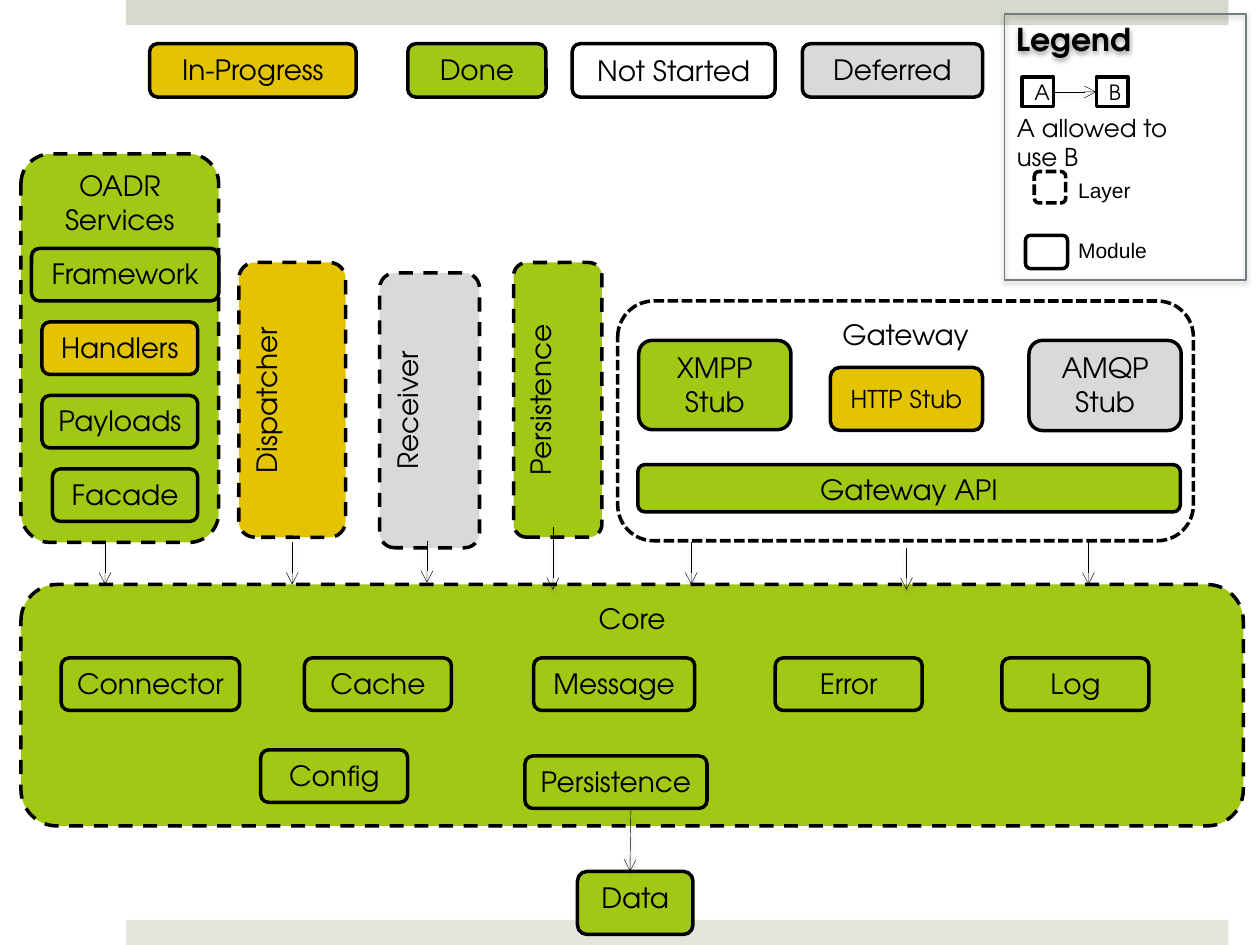
from lxml import etree
from pptx import Presentation
from pptx.dml.color import RGBColor
from pptx.enum.dml import MSO_LINE
from pptx.enum.shapes import MSO_CONNECTOR, MSO_SHAPE
from pptx.enum.text import MSO_ANCHOR, PP_ALIGN
from pptx.oxml.ns import qn
from pptx.util import Pt

RECT, ROUND = MSO_SHAPE.RECTANGLE, MSO_SHAPE.ROUNDED_RECTANGLE
DASH, DOTS = MSO_LINE.DASH, MSO_LINE.SQUARE_DOT
TOP, MID = MSO_ANCHOR.TOP, MSO_ANCHOR.MIDDLE
LEFT, MIDDLE = PP_ALIGN.LEFT, PP_ALIGN.CENTER
STRAIGHT = MSO_CONNECTOR.STRAIGHT
FONT = "TeX Gyre Adventor"
HEX = {
    "black": "000000", "white": "FFFFFF", "green": "A2C816", "gold": "E4C402",
    "grey": "D9D9D9", "slate": "727D82", "head": "D6D9CD", "foot": "E4E6DE",
}


def rgb(name):
    return RGBColor.from_string(HEX[name])


def write(frame, text, size=16, font=FONT, bold=False, align=MIDDLE,
          anchor=TOP, wrap=True):
    frame.text = text
    frame.word_wrap = wrap
    frame.vertical_anchor = anchor
    for para in frame.paragraphs:
        para.alignment = align
        for run in para.runs:
            run.font.size = Pt(size)
            run.font.name = font
            run.font.bold = bold
            run.font.color.rgb = rgb("black")


def box(slide, x, y, w, h, text="", fill="green", line="black", width=2,
        dash=None, form=ROUND, **style):
    shape = slide.shapes.add_shape(form, Pt(x), Pt(y), Pt(w), Pt(h))
    shape.shadow.inherit = False
    if form == ROUND:
        shape.adjustments[0] = 0.15
    if fill:
        shape.fill.solid()
        shape.fill.fore_color.rgb = rgb(fill)
    else:
        shape.fill.background()
    if line:
        shape.line.color.rgb = rgb(line)
        shape.line.width = Pt(width)
        if dash:
            shape.line.dash_style = dash
    else:
        shape.line.fill.background()
    if text:
        write(shape.text_frame, text, **style)
    return shape


def label(slide, x, y, w, h, text, **style):
    area = slide.shapes.add_textbox(Pt(x), Pt(y), Pt(w), Pt(h))
    write(area.text_frame, text, align=LEFT, **style)


def shade(props, alpha, dist):
    """Give shape properties a soft shadow that falls straight down."""
    group = props.find(qn("a:effectLst"))
    if group is None:
        group = etree.SubElement(props, qn("a:effectLst"))
    outer = etree.SubElement(
        group, qn("a:outerShdw"), blurRad=str(Pt(3.1)), dist=str(Pt(dist)),
        dir="5400000", algn="ctr", rotWithShape="0")
    tint = etree.SubElement(outer, qn("a:srgbClr"), val=HEX["black"])
    etree.SubElement(tint, qn("a:alpha"), val=str(alpha * 1000))


def arrow(slide, x1, y1, x2, y2):
    link = slide.shapes.add_connector(STRAIGHT, Pt(x1), Pt(y1), Pt(x2), Pt(y2))
    link.line.color.rgb = rgb("black")
    link.line.width = Pt(0.25)
    etree.SubElement(link.line._get_or_add_ln(), qn("a:tailEnd"), type="arrow")
    shade(link._element.spPr, 35, 1.8)
    return link


def bands(slide, x, w, h):
    box(slide, x, 0, w, h, fill="head", line=None, form=RECT)
    box(slide, x, 540 - h, w, h, fill="foot", line=None, form=RECT)


def status(slide, x, y):
    for dx, w, text, fill, anchor in [
            (0, 118, "In-Progress", "gold", TOP),
            (147.5, 79, "Done", "green", TOP),
            (241.5, 116, "Not Started", "white", MID),
            (373, 103, "Deferred", "grey", TOP)]:
        box(slide, x + dx, y, w, 30.5, text, fill, anchor=anchor)


def legend(slide, x, y, w, h):
    box(slide, x + 17, y + 90, 18, 18, fill="white", dash=DOTS)
    box(slide, x + 12, y + 126.5, 24, 19, fill="white")
    for dy, text in [(90, "Layer"), (124, "Module")]:
        label(slide, x + 35, y + dy, 54, 21.6, text, size=12, font="Arial",
              wrap=False)
    panel = box(slide, x, y, w, h, "Legend", None, "slate", 0.75, form=RECT,
                size=18, bold=True, align=LEFT)
    shade(panel._element.spPr, 38, 1.6)
    user, used = [
        box(slide, x + dx, y + 36, 18, 17, text, "white", form=RECT, size=12,
            align=LEFT, anchor=MID)
        for dx, text in [(10, "A"), (52.5, "B")]]
    link = arrow(slide, x + 28, y + 44.5, x + 52.5, y + 44.5)
    link.begin_connect(user, 3)
    link.end_connect(used, 1)
    label(slide, x, y + 53, 121, 25, "A allowed to use B", size=14)


def services(slide, x, y, w, h):
    box(slide, x, y, w, h, "OADR\nServices", dash=DASH)
    for i, (dx, wide, text, fill) in enumerate([
            (6, 107, "Framework", "green"), (12, 89, "Handlers", "gold"),
            (12, 89, "Payloads", "green"), (18, 83, "Facade", "green")]):
        box(slide, x + dx, y + 54 + 42 * i, wide, 30, text, fill)


def column(slide, x, y, w, h, text, fill):
    """Draw a layer whose text reads upwards; the box is as seen."""
    shape = box(slide, x + (w - h) / 2, y + (h - w) / 2, h, w, text, fill,
                dash=DASH)
    shape.rotation = 270


def gateway(slide, x, y, w, h):
    box(slide, x, y, w, h, "Gateway", "white", dash=DOTS)
    box(slide, x + 12, y + 22.5, 87, 51, "XMPP Stub")
    box(slide, x + 121.5, y + 38, 87, 36, "HTTP Stub", "gold", size=14,
        anchor=MID)
    box(slide, x + 235, y + 22.5, 87, 51.5, "AMQP Stub", "grey")
    box(slide, x + 11.5, y + 93.5, 310, 27, "Gateway API")


def core(slide, x, y, w, h):
    box(slide, x, y, w, h, "Core", dash=DASH)
    for dx, dy, wide, text in [
            (23, 42, 102, "Connector"), (162, 42, 84, "Cache"),
            (293, 42, 92, "Message"), (431, 42, 84, "Error"),
            (560.5, 42, 84, "Log"), (137, 94.5, 84, "Config"),
            (288, 98, 104, "Persistence")]:
        box(slide, x + dx, y + dy, wide, 30, text)


def main():
    deck = Presentation()
    deck.slide_width, deck.slide_height = Pt(720), Pt(540)
    slide = deck.slides.add_slide(deck.slide_layouts[6])
    bands(slide, 72, 630, 14.4)
    core(slide, 12, 334, 698.5, 138)
    legend(slide, 574, 8, 138, 152)
    status(slide, 85.5, 25)
    services(slide, 12, 88, 113, 222)
    column(slide, 136.5, 150, 61, 157, "Dispatcher", "gold")
    column(slide, 217, 156, 57, 157, "Receiver", "grey")
    column(slide, 293.5, 150, 50.5, 157, "Persistence", "green")
    gateway(slide, 353, 172, 329, 137)
    box(slide, 330, 498, 66, 36, "Data")
    for x, y1, y2 in [(60, 310, 334), (167, 310, 334), (244, 309, 333),
                      (316, 301, 337), (395, 310, 334), (518, 313, 337),
                      (622, 310, 334)]:
        arrow(slide, x, y1, x, y2)
    arrow(slide, 360.5, 463, 360, 498)
    deck.save("out.pptx")


if __name__ == "__main__":
    main()
